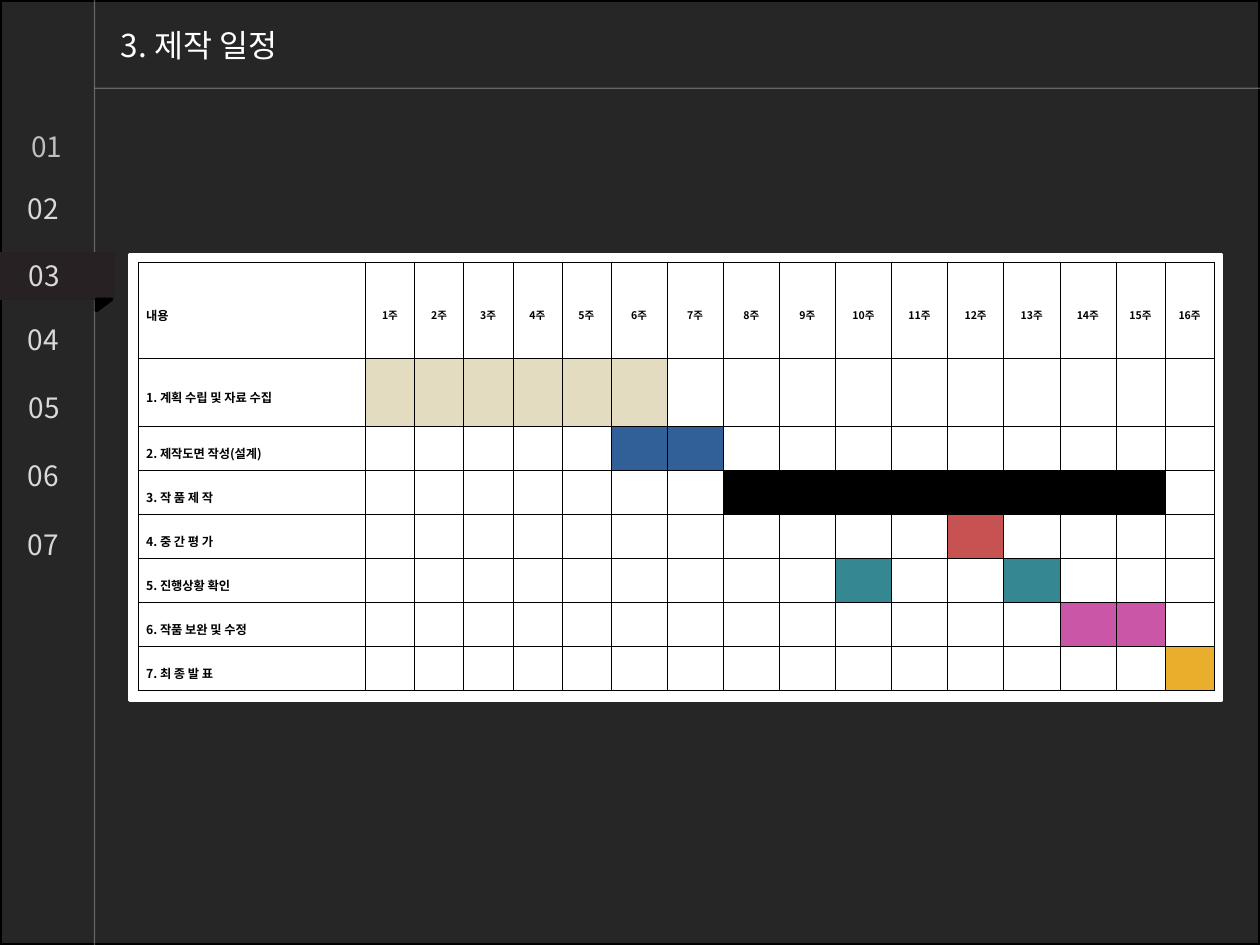
from lxml import etree
from pptx import Presentation
from pptx import util as u
from pptx.dml.color import RGBColor
from pptx.enum import shapes, text
from pptx.oxml.ns import qn

# Content
TITLE = "3. 제작 일정"
FONT = "Noto Sans CJK KR"
NAV = [  # label, left, top, width, colour
    ("02", 0.12, 1.47, 0.49, "D9D9D9"),
    ("04", 0.12, 2.51, 0.49, "D9D9D9"),
    ("06", 0.12, 3.59, 0.49, "D9D9D9"),
    ("07", 0.12, 4.14, 0.49, "D9D9D9"),
    ("03", 0.13, 2, 0.49, "D9D9D9"),
    ("01", 0.15, 0.98, 0.59, "BFBFBF"),
    ("05", 0.13, 3.05, 0.49, "D9D9D9"),
]
HEAD = ["내용"] + [f"{week}주" for week in range(1, 17)]
TASKS = [  # label, weeks, colour
    ("1. 계획 수립 및 자료 수집", range(1, 7), "E3DCC1"),
    ("2. 제작도면 작성(설계)", (6, 7), "315F97"),
    ("3. 작 품 제 작", range(8, 16), "000000"),
    ("4. 중 간 평 가", (12,), "C75252"),
    ("5. 진행상황 확인", (10, 13), "358791"),
    ("6. 작품 보완 및 수정", (14, 15), "CA56A7"),
    ("7. 최 종 발 표", (16,), "E9AE2B"),
]

# Grid
WIDE, HIGH = 10, 7.5
RAIL, RULE = 0.75, 0.7
LEFT, TOP, SPAN = 1.1, 2.08, 8.54
FIRST = 1.8
SHARES = [7] * 5 + [8] * 9 + [7] * 2
UNIT = (SPAN - FIRST) / sum(SHARES)
COLS = [FIRST] + [share * UNIT for share in SHARES]
ROWS = [0.76, 0.54] + [0.35] * 6


# Helpers
def rgb(code):
    return RGBColor.from_string(code)


def box(*at):
    return [u.Inches(n) for n in at]


def paint(item, code):
    item.fill.solid()
    item.fill.fore_color.rgb = rgb(code)


def solid(node, code, alpha=None):
    fill = etree.SubElement(node, qn("a:solidFill"))
    tint = etree.SubElement(fill, qn("a:srgbClr"), val=code)
    if alpha:
        etree.SubElement(tint, qn("a:alpha"), val=str(alpha * 1000))


def style(para, size, code, bold=None):
    for run in para.runs:
        font = run.font
        font.size, font.name, font.bold = u.Pt(size), FONT, bold
        font.color.rgb = rgb(code)
        etree.SubElement(run.font._element, qn("a:ea"), typeface=FONT)


def block(kind, at, fill, line=None):
    shape = page.shapes.add_shape(kind, *box(*at))
    shape.shadow.inherit = False
    paint(shape, fill)
    if line:
        shape.line.color.rgb = rgb(line)
        shape.line.width = u.Pt(2)
    else:
        shape.line.fill.background()
    return shape


def rule(*ends):
    line = page.shapes.add_connector(shapes.MSO_CONNECTOR.STRAIGHT, *box(*ends))
    line.line.color.rgb = rgb("A6A6A6")
    line.line.width = u.Pt(0.75)
    tint = line.element.find(".//" + qn("a:srgbClr"))
    etree.SubElement(tint, qn("a:alpha"), val="50000")
    etree.SubElement(line.element.spPr, qn("a:effectLst"))


def label(words, left, top, width, code):
    frame = page.shapes.add_textbox(*box(left, top, width, 0.37)).text_frame
    frame.word_wrap = True
    frame.auto_size = text.MSO_AUTO_SIZE.SHAPE_TO_FIT_TEXT
    para = frame.paragraphs[0]
    para.text = words
    style(para, 16, code)
    edge = etree.Element(qn("a:ln"), w="9525")
    solid(edge, "000000", 30)
    para.runs[0].font._element.insert(0, edge)


def fill_cell(cell, words, size, align, code):
    cell.margin_left = cell.margin_right = u.Inches(0.06)
    cell.margin_top = cell.margin_bottom = u.Inches(0.02)
    cell.vertical_anchor = text.MSO_ANCHOR.MIDDLE
    para = cell.text_frame.paragraphs[0]
    if words:
        para.text = words
        para.alignment, para.line_spacing = align, 1.6
        style(para, size, "000000", True)
    else:
        etree.SubElement(para._p, qn("a:endParaRPr"), sz=str(size * 100))
    # Borders precede the fill
    prop = cell._tc.get_or_add_tcPr()
    for side in ("lnL", "lnR", "lnT", "lnB"):
        solid(etree.SubElement(prop, qn("a:" + side), w="3556"), "000000")
    paint(cell, code)


deck = Presentation()
deck.slide_width, deck.slide_height = box(WIDE, HIGH)
page = deck.slides.add_slide(deck.slide_layouts[5])
RECT = shapes.MSO_SHAPE.RECTANGLE

# Backdrop and rules
block(RECT, (0, 0, WIDE, HIGH), "262626", "000000")
rule(RAIL, 0, RAIL, HIGH)
rule(WIDE, RULE, RAIL, RULE)

# Title
title = page.shapes.title
title.left, title.top, title.width, title.height = box(0.86, 0.16, 1.59, 0.4)
frame = title.text_frame
frame.text = TITLE
frame.word_wrap = False
frame.auto_size = text.MSO_AUTO_SIZE.SHAPE_TO_FIT_TEXT
frame.vertical_anchor = text.MSO_ANCHOR.TOP
frame.paragraphs[0].alignment = text.PP_ALIGN.LEFT
style(frame.paragraphs[0], 18, "FFFFFF")
page.shapes.element.append(title.element)

# Navigation with its active tab
block(RECT, (0, 2, 0.91, 0.38), "272123")
fold = block(shapes.MSO_SHAPE.RIGHT_TRIANGLE, (0.78, 2.36, 0.09, 0.12),
             "000000", "000000")
fold.rotation = 90
for item in NAV:
    label(*item)

# Schedule
block(RECT, (1.03, 2.02, 8.66, 3.54), "FFFFFF", "FFFFFF")
table = page.shapes.add_table(len(ROWS), len(COLS),
                              *box(LEFT, TOP, SPAN, sum(ROWS))).table
table.first_row = table.horz_banding = False
for col, width in zip(table.columns, COLS):
    col.width = u.Inches(width)
for row, height in zip(table.rows, ROWS):
    row.height = u.Inches(height)
for r, (name, weeks, code) in enumerate([("", (), "")] + TASKS):
    for c, week in enumerate(HEAD):
        words = week if r == 0 else name if c == 0 else ""
        align = text.PP_ALIGN.CENTER if c else text.PP_ALIGN.JUSTIFY
        fill_cell(table.cell(r, c), words, 6 if c else 7, align,
                  code if c in weeks else "FFFFFF")

deck.save("out.pptx")
